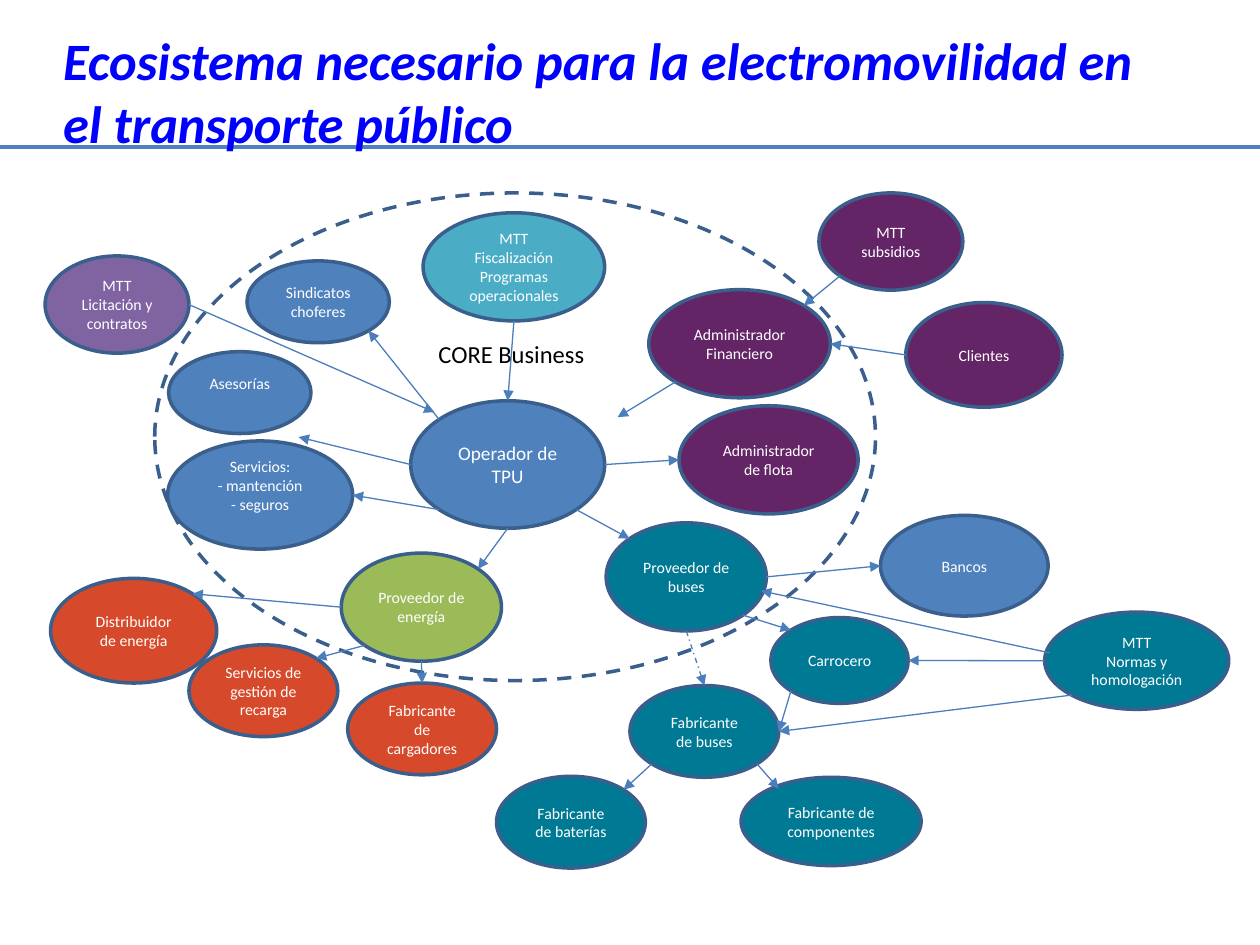
from math import cos, radians, sin

from lxml import etree
from pptx import Presentation
from pptx import util as u
from pptx.dml import color
from pptx.enum import dml, shapes, text
from pptx.oxml import ns

COLORS = {
    "title": "0000FF", "rule": "4F81BD", "arrow": "4B7EBC", "outline": "3A5F8C",
    "blue": "4F81BD", "purple": "642566", "teal": "007A94", "green": "9BBB59",
    "cyan": "4BACC6", "red": "D6492A", "violet": "8064A2",
    "white": "FFFFFF", "black": "000000",
}


def write(frame, lines, size, tone, align, **extra):
    """Fill a text frame, one paragraph per line."""
    for index, line in enumerate(lines):
        para = frame.paragraphs[0] if index == 0 else frame.add_paragraph()
        para.alignment = align
        span = para.add_run()
        span.text = line
        span.font.color.rgb = color.RGBColor.from_string(COLORS[tone])
        formats = {"name": "Calibri", "size": u.Pt(size), **extra}
        for name, value in formats.items():
            setattr(span.font, name, value)


def add_line(start, end, tone, width):
    """Draw a straight, shadowless line between two points in cm."""
    line = page.shapes.add_connector(
        shapes.MSO_CONNECTOR.STRAIGHT, *(u.Cm(v) for v in (*start, *end)))
    line.line.color.rgb = color.RGBColor.from_string(COLORS[tone])
    line.line.width = u.Pt(width)
    etree.SubElement(line.element.spPr, ns.qn("a:effectLst"))
    return line


deck = Presentation()
deck.slide_width, deck.slide_height = u.Cm(25.4), u.Cm(19.05)
page = deck.slides.add_slide(deck.slide_layouts[5])

# Title, with the rule behind it
title = page.shapes.title
placement = {"left": 1.02, "top": 0.43, "width": 22.86, "height": 2.08}
for name, value in placement.items():
    setattr(title, name, u.Cm(value))
frame_format = {
    "word_wrap": True,
    "auto_size": text.MSO_AUTO_SIZE.NONE,
    "vertical_anchor": text.MSO_ANCHOR.TOP,
}
for name, value in frame_format.items():
    setattr(title.text_frame, name, value)
write(title.text_frame,
      ["Ecosistema necesario para la electromovilidad en el transporte público"],
      30, "title", text.PP_ALIGN.LEFT, bold=True, italic=True)
rule = add_line((0, 2.97), (25.4, 2.97), "rule", 2.25)
title.element.addprevious(rule.element)

# Ellipses: name -> (left, top, width, height), fill, lines
nodes = {
    "core": ((3.12, 3.89, 14.53, 9.83), None, []),
    "operador": ((8.28, 8.08, 3.91, 2.57), "blue", ["Operador de TPU"]),
    "financiero": ((13.08, 5.84, 3.66, 2.18), "purple", ["Administrador Financiero"]),
    "buses": ((12.22, 10.54, 3.23, 2.18), "teal", ["Proveedor de buses"]),
    "energía": ((6.88, 11.15, 3.23, 2.18), "green", ["Proveedor de energía"]),
    "servicios": ((3.38, 8.89, 3.73, 2.18), "blue",
                  ["Servicios:", "- mantención", "- seguros"]),
    "asesorías": ((3.4, 7.09, 2.87, 1.65), "blue", ["Asesorías"]),
    "sindicatos": ((4.98, 5.26, 2.87, 1.65), "blue", ["Sindicatos choferes"]),
    "fiscalización": ((8.53, 4.29, 3.66, 2.18), "cyan",
                      ["MTT", "Fiscalización", "Programas", "operacionales"]),
    "flota": ((13.69, 8.18, 3.61, 2.18), "purple", ["Administrador de flota"]),
    "subsidios": ((16.51, 3.89, 2.9, 1.96), "purple", ["MTT", "subsidios"]),
    "clientes": ((18.26, 6.1, 3.15, 2.11), "purple", ["Clientes"]),
    "carrocero": ((15.54, 12.45, 2.77, 1.73), "teal", ["Carrocero"]),
    "fabricante": ((12.7, 13.82, 3, 1.85), "teal", ["Fabricante de buses"]),
    "baterías": ((10.01, 15.65, 3, 1.85), "teal", ["Fabricante de baterías"]),
    "componentes": ((14.94, 15.67, 3.63, 1.78), "teal", ["Fabricante de componentes"]),
    "bancos": ((17.75, 10.39, 3.38, 2.03), "blue", ["Bancos"]),
    "cargadores": ((7.01, 13.77, 3, 1.85), "red", ["Fabricante de cargadores"]),
    "recarga": ((3.81, 13, 3, 1.85), "red", ["Servicios de gestión de recarga"]),
    "distribuidor": ((1.02, 11.66, 3.35, 2.11), "red", ["Distribuidor de energía"]),
    "normas": ((21.06, 12.34, 3.71, 1.96), "teal", ["MTT", "Normas y homologación"]),
    "licitación": ((0.91, 5.16, 2.9, 1.96), "violet", ["MTT", "Licitación y contratos"]),
}
raised = ("servicios", "asesorías")  # text sits above the middle
angles = {"right": 0, "low right": 45, "bottom": 90, "low left": 135,
          "left": 180, "top left": 225, "top": 270, "top right": 315}
sites = {}
for name, (area, fill, lines) in nodes.items():
    oval = page.shapes.add_shape(shapes.MSO_SHAPE.OVAL, *(u.Cm(v) for v in area))
    oval.shadow.inherit = False
    oval.line.color.rgb = color.RGBColor.from_string(COLORS["outline"])
    oval.line.width = u.Pt(2)
    if fill:
        oval.fill.solid()
        oval.fill.fore_color.rgb = color.RGBColor.from_string(COLORS[fill])
    else:
        oval.fill.background()
        oval.line.dash_style = dml.MSO_LINE.DASH
    oval.text_frame.word_wrap = True
    oval.text_frame.vertical_anchor = text.MSO_ANCHOR.MIDDLE
    if name in raised:
        oval.text_frame.margin_bottom = u.Cm(0.51)
    write(oval.text_frame, lines, 11 if name == "operador" else 9, "white",
          text.PP_ALIGN.CENTER)
    # Eight points on the outline where arrows can attach
    left, top, width, height = area
    for side, angle in angles.items():
        sites[name, side] = (left + width / 2 * (1 + cos(radians(angle))),
                             top + height / 2 * (1 + sin(radians(angle))))

# Arrows: each end is an outline point or a free position in cm
arrows = [
    (("subsidios", "low left"), ("financiero", "top right")),
    (("financiero", "low left"), (12.45, 8.41)),
    (("clientes", "left"), ("financiero", "right")),
    (("operador", "right"), ("flota", "left")),
    (("operador", "low right"), ("buses", "top left")),
    (("buses", "low right"), ("carrocero", "top left")),
    (("buses", "bottom"), ("fabricante", "top")),
    (("fabricante", "low right"), (15.7, 15.9)),
    (("fabricante", "low left"), ("baterías", "top right")),
    (("buses", "right"), ("bancos", "left")),
    (("operador", "bottom"), ("energía", "top right")),
    (("energía", "bottom"), ("cargadores", "top")),
    (("energía", "low left"), ("recarga", "top right")),
    (("energía", "left"), ("distribuidor", "top right")),
    (("carrocero", "low left"), ("fabricante", "right")),
    (("fiscalización", "bottom"), ("operador", "top")),
    (("operador", "top left"), ("sindicatos", "low right")),
    (("operador", "left"), (6.02, 8.81)),
    (("operador", "low left"), ("servicios", "right")),
    ((21.16, 13.16), (15.34, 11.91)),
    (("normas", "left"), ("carrocero", "right")),
    (("normas", "low left"), ("fabricante", "right")),
    (("licitación", "right"), (8.76, 8.31)),
]
for start, end in arrows:
    arrow = add_line(sites.get(start, start), sites.get(end, end), "arrow", 0.75)
    if (start, end) == (("buses", "bottom"), ("fabricante", "top")):
        arrow.line.dash_style = dml.MSO_LINE.DASH_DOT
    etree.SubElement(arrow.element.spPr.find(ns.qn("a:ln")),
                     ns.qn("a:tailEnd"), type="triangle")

# Label of the core area
box = page.shapes.add_textbox(u.Cm(8.59), u.Cm(6.71), u.Cm(4.11), u.Cm(0.86))
box.text_frame.word_wrap = False
write(box.text_frame, ["CORE Business"], 14, "black", text.PP_ALIGN.LEFT)

deck.save("out.pptx")
